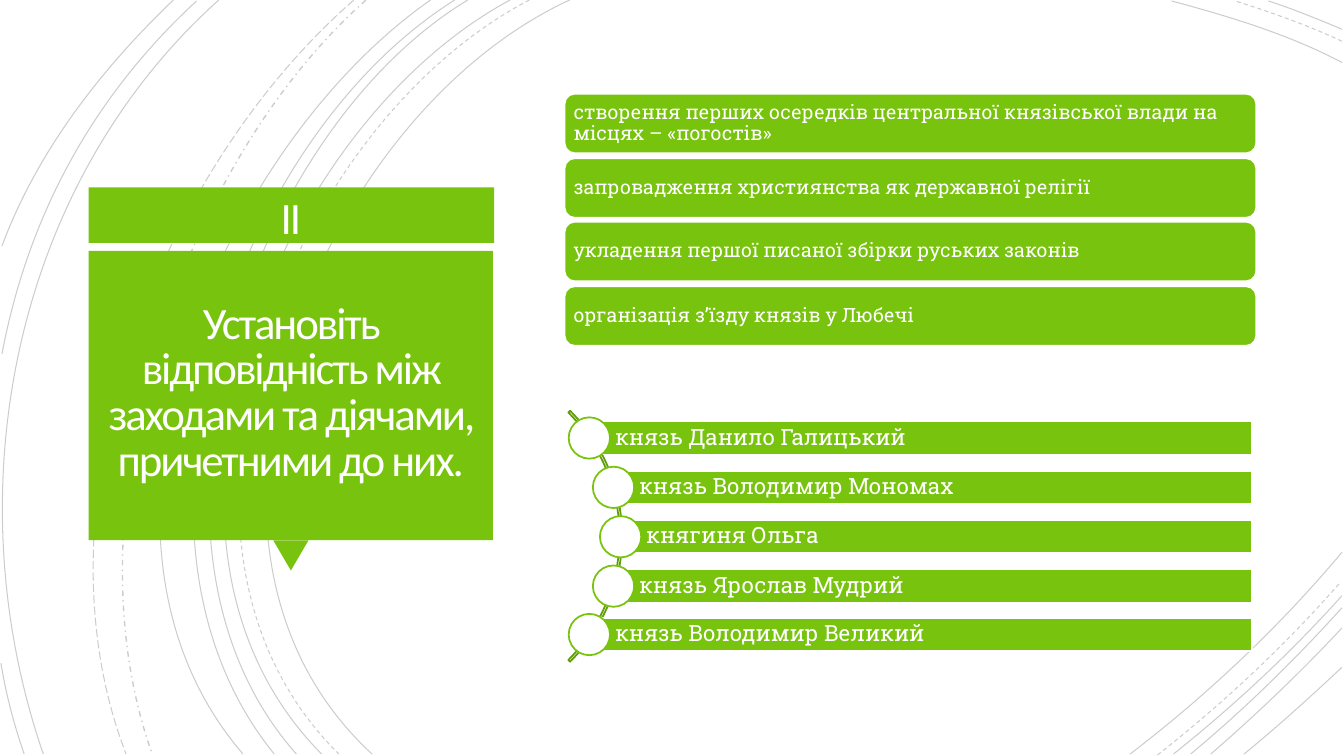
import dataclasses

import lxml.etree
import pptx
import pptx.dml.color
import pptx.enum.dml
import pptx.enum.shapes
import pptx.enum.text
import pptx.oxml.ns
import pptx.util

PX = 9144  # EMU in one px, 100 px to the inch
GREEN = pptx.dml.color.RGBColor(0x78, 0xC3, 0x0D)
DARK_GREEN = pptx.dml.color.RGBColor(0x60, 0x9C, 0x0A)
WHITE = pptx.dml.color.RGBColor(0xFF, 0xFF, 0xFF)
TITLE_WHITE = pptx.dml.color.RGBColor(0xFF, 0xFE, 0xFF)
BLACK = pptx.dml.color.RGBColor(0, 0, 0)
KIND = pptx.enum.shapes.MSO_SHAPE
DASH = pptx.enum.dml.MSO_LINE
ALIGN = pptx.enum.text.PP_ALIGN


@dataclasses.dataclass(frozen=True)
class Curve:
    points: tuple[tuple[int, int], ...]  # start, two controls, end
    dash: DASH = DASH.SOLID
    weight: float = 0.75


@dataclasses.dataclass(frozen=True)
class Place:
    left: int
    top: int
    width: int
    height: int

    def emu(self) -> tuple[int, ...]:
        return tuple(value * PX for value in dataclasses.astuple(self))


@dataclasses.dataclass(frozen=True)
class TextStyle:
    size: int
    font: str
    color: pptx.dml.color.RGBColor
    align: ALIGN
    line_spacing: float
    insets: tuple[int, int, int, int]
    tracking: int = 0  # hundredths of a point


@dataclasses.dataclass(frozen=True)
class Ruler:
    name: str
    circle_left: int


CURVES = (
    Curve(((565, 0), (315, 115), (143, 540), (369, 748))),
    Curve(((1331, 62), (1278, 34), (1218, 16), (1162, 1))),
    Curve(((1121, 748), (1197, 690), (1269, 622), (1331, 548))),
    Curve(((525, 0), (285, 125), (123, 537), (336, 748)), DASH.DASH),
    Curve(((1331, 41), (1297, 25), (1260, 12), (1225, 1)), DASH.DASH),
    Curve(((1148, 749), (1213, 698), (1275, 640), (1330, 577)), DASH.DASH),
    Curve(((506, 0), (270, 127), (110, 537), (319, 748))),
    Curve(((1331, 29), (1307, 19), (1283, 9), (1258, 1))),
    Curve(((1164, 748), (1223, 701), (1280, 648), (1331, 591))),
    Curve(((464, 0), (244, 133), (110, 541), (294, 748))),
    Curve(((1181, 748), (1234, 704), (1284, 655), (1331, 603))),
    Curve(((451, 0), (231, 138), (97, 533), (272, 748))),
    Curve(((1201, 748), (1246, 709), (1290, 667), (1331, 623))),
    Curve(((427, 0), (217, 147), (53, 529), (241, 748))),
    Curve(((1234, 748), (1267, 721), (1299, 692), (1331, 662))),
    Curve(((363, 0), (176, 166), (65, 509), (151, 748)), DASH.DASH_DOT, 1),
    Curve(((351, 0), (157, 169), (29, 499), (125, 748)), DASH.LONG_DASH),
    Curve(((217, 0), (11, 185), (-46, 490), (43, 748))),
    Curve(((195, 1), (92, 96), (28, 214), (2, 351))),
    Curve(((1, 658), (6, 689), (14, 719), (24, 748))),
    Curve(((172, 0), (100, 69), (37, 150), (2, 244))),
)
EVENTS = (
    "створення перших осередків центральної князівської влади на місцях – «погостів»",
    "запровадження християнства як державної релігії",
    "укладення першої писаної збірки руських законів",
    "організація з’їзду князів у Любечі",
)
RULERS = (
    Ruler("князь Данило Галицький", 564),
    Ruler("князь Володимир Мономах", 588),
    Ruler("княгиня Ольга", 595),
    Ruler("князь Ярослав Мудрий", 588),
    Ruler("князь Володимир Великий", 564),
)
TITLE_STYLE = TextStyle(32, "Calibri", TITLE_WHITE, ALIGN.CENTER, 0.85, (10, 10, 10, 10), -150)
EVENT_STYLE = TextStyle(14, "Roboto Slab", WHITE, ALIGN.LEFT, 0.9, (6, 6, 6, 6))
RULER_STYLE = TextStyle(16, "Roboto Slab", WHITE, ALIGN.LEFT, 0.9, (26, 4, 4, 4))


def apply(target, values: dict) -> None:
    for name, value in values.items():
        setattr(target, name, value)


def write(box, text: str, style: TextStyle) -> None:
    frame = box.text_frame
    left, top, right, bottom = (inset * PX for inset in style.insets)
    apply(frame, {
        "word_wrap": True,
        "auto_size": pptx.enum.text.MSO_AUTO_SIZE.NONE,
        "vertical_anchor": pptx.enum.text.MSO_ANCHOR.MIDDLE,
        "margin_left": left, "margin_top": top,
        "margin_right": right, "margin_bottom": bottom,
    })
    para = frame.paragraphs[0]
    apply(para, {"alignment": style.align, "line_spacing": style.line_spacing})
    span = para.add_run()
    span.text = text
    apply(span.font, {"size": pptx.util.Pt(style.size), "name": style.font})
    span.font.color.rgb = style.color
    if style.tracking:
        span.font._element.set("spc", str(style.tracking))


def add_box(page, kind: KIND, place: Place, fill=None, outline=None):
    box = page.shapes.add_shape(kind, *place.emu())
    box.shadow.inherit = False
    if fill is None:
        box.fill.background()
    else:
        box.fill.solid()
        box.fill.fore_color.rgb = fill
    if outline is None:
        box.line.fill.background()
    else:
        box.line.color.rgb = outline
        box.line.width = pptx.util.Pt(1.25)
    return box


def add_curve(page, curve: Curve) -> None:
    start, *rest = curve.points
    builder = page.shapes.build_freeform(*start, scale=PX)
    builder.add_line_segments(rest, close=False)
    shape = builder.convert_to_shape()
    shape.shadow.inherit = False
    shape.fill.background()
    shape.line.color.rgb = BLACK
    apply(shape.line, {"width": pptx.util.Pt(curve.weight), "dash_style": curve.dash})

    # Turn the three straight segments into one Bezier segment
    qn = pptx.oxml.ns.qn
    outline = shape.element.xpath(".//a:path")[0]
    bezier = lxml.etree.SubElement(outline, qn("a:cubicBezTo"))
    for segment in outline.findall(qn("a:lnTo")):
        bezier.append(segment[0])
        outline.remove(segment)

    # Faint line
    color = shape.element.xpath(".//a:ln//a:srgbClr")[0]
    lxml.etree.SubElement(color, qn("a:alpha")).set("val", "20000")


def main() -> None:
    deck = pptx.Presentation()
    apply(deck, {"slide_width": 1333 * PX, "slide_height": 750 * PX})
    page = deck.slides.add_slide(deck.slide_layouts[5])

    # Background curves
    for curve in CURVES:
        add_curve(page, curve)

    # Title panel
    add_box(page, KIND.RECTANGLE, Place(88, 186, 402, 55), GREEN)
    pointer = add_box(page, KIND.ISOSCELES_TRIANGLE, Place(271, 536, 35, 30), GREEN)
    pointer.rotation = 180
    add_box(page, KIND.RECTANGLE, Place(88, 249, 401, 287), GREEN)
    title = page.shapes.title
    title.element.getparent().append(title.element)
    apply(title, dict(zip(("left", "top", "width", "height"), Place(97, 256, 383, 270).emu())))
    write(title, "Установіть відповідність між заходами та діячами, причетними до них.", TITLE_STYLE)

    # Events
    for index, event in enumerate(EVENTS):
        place = Place(560, round(93 + 63.6 * index), 686, 59)
        write(add_box(page, KIND.ROUNDED_RECTANGLE, place, GREEN, WHITE), event, EVENT_STYLE)

    # Rulers along an arc
    arc = add_box(page, KIND.BLOCK_ARC, Place(265, 356, 352, 352), outline=DARK_GREEN)
    for index, value in enumerate((189, 27, 0.007)):
        arc.adjustments[index] = value
    for index, ruler in enumerate(RULERS):
        top = round(418 + 48.85 * index)
        left = ruler.circle_left + 20
        bar = add_box(page, KIND.RECTANGLE, Place(left, top, 1242 - left, 33), GREEN, WHITE)
        write(bar, ruler.name, RULER_STYLE)
        add_box(page, KIND.OVAL, Place(ruler.circle_left, top - 4, 41, 41), WHITE, GREEN)

    # Part number
    number = page.shapes.add_textbox(*Place(97, 84, 383, 270).emu())
    write(number, "ІІ", TITLE_STYLE)

    deck.save("out.pptx")


if __name__ == "__main__":
    main()
